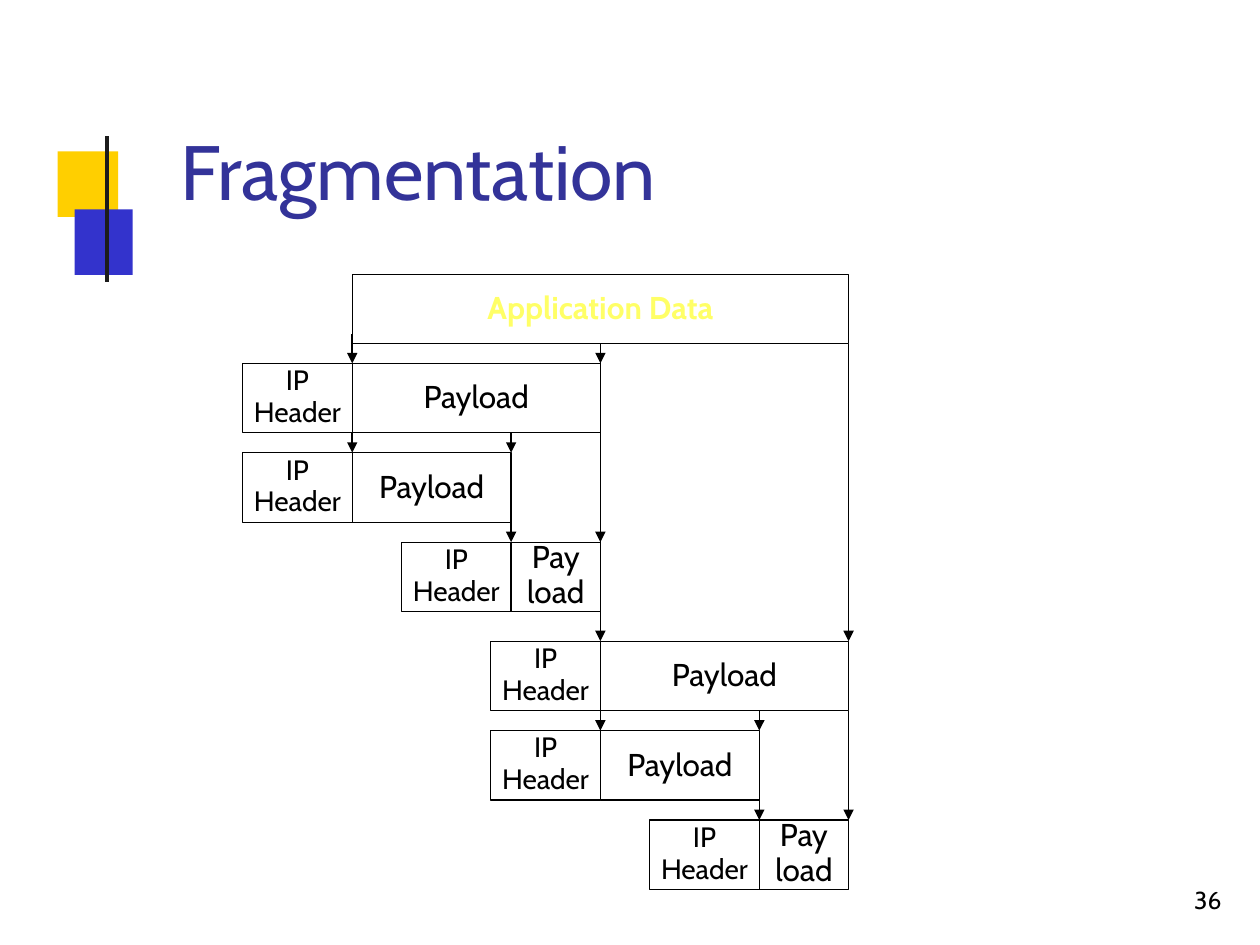
from dataclasses import dataclass
from typing import Optional

import pptx
import pptx.dml.color
import pptx.enum.shapes
import pptx.enum.text
import pptx.util
from lxml import etree

Pt = pptx.util.Pt
Align = pptx.enum.text.PP_ALIGN
Anchor = pptx.enum.text.MSO_ANCHOR

COLORS = {
    "gold": "FFCF00",
    "blue": "3333CC",
    "bar": "1C1C1C",
    "title": "333399",
    "data": "FFFF66",
    "black": "000000",
}
FONT = "Cabin"
HEADER_WIDTH = 62.6
FULL_WIDTH = 141.8
FIRST_WIDTH = 90.8
BOX_HEIGHT = 39.7
ROW_PITCH = 51.1
DATA_LEFT = 201.3
DATA_TOP = 156.7
DATA_BOTTOM = DATA_TOP + BOX_HEIGHT


@dataclass
class Label:
    lines: tuple[str, ...]
    size: float
    color: str = "black"
    bold: bool = False
    spacing: Optional[float] = None
    align: Align = Align.CENTER


@dataclass
class Box:
    left: float
    top: float
    width: float
    label: Label


@dataclass
class Arrow:
    x: float
    start: float
    end: float


@dataclass
class Group:
    left: float
    top: float


HEADER = Label(("IP", "Header"), 16, spacing=18.2)
PAYLOAD = Label(("Payload",), 18)
SPLIT_PAYLOAD = Label(("Pay", "load"), 18, spacing=20)
GROUPS = (Group(DATA_LEFT, 207.6), Group(DATA_LEFT + FULL_WIDTH, 366.4))


def color_of(name: str) -> pptx.dml.color.RGBColor:
    return pptx.dml.color.RGBColor.from_string(COLORS[name])


def write_label(frame, label: Label) -> None:
    frame.word_wrap = True
    frame.margin_left = frame.margin_right = frame.margin_top = frame.margin_bottom = 0
    for index, line in enumerate(label.lines):
        paragraph = frame.paragraphs[0] if index == 0 else frame.add_paragraph()
        paragraph.alignment = label.align
        if label.spacing:
            paragraph.line_spacing = Pt(label.spacing)
        run = paragraph.add_run()
        run.text = line
        run.font.name = FONT
        run.font.size = Pt(label.size)
        run.font.bold = label.bold
        run.font.color.rgb = color_of(label.color)


def add_rectangle(slide, left: float, top: float, width: float, height: float):
    shape = slide.shapes.add_shape(
        pptx.enum.shapes.MSO_SHAPE.RECTANGLE, Pt(left), Pt(top), Pt(width), Pt(height)
    )
    shape.shadow.inherit = False
    return shape


def add_square(slide, left: float, top: float, width: float, color: str) -> None:
    shape = add_rectangle(slide, left, top, width, 37.4)
    shape.fill.solid()
    shape.fill.fore_color.rgb = color_of(color)
    shape.line.fill.background()


def add_box(slide, box: Box):
    shape = add_rectangle(slide, box.left, box.top, box.width, BOX_HEIGHT)
    shape.fill.background()
    shape.line.color.rgb = color_of("black")
    shape.line.width = Pt(0.72)
    write_label(shape.text_frame, box.label)
    shape.text_frame.vertical_anchor = Anchor.MIDDLE
    shape.text_frame.margin_bottom = Pt(2)
    return shape


def add_text(slide, left: float, top: float, width: float, height: float, label: Label) -> None:
    shape = slide.shapes.add_textbox(Pt(left), Pt(top), Pt(width), Pt(height))
    write_label(shape.text_frame, label)


def add_line(slide, arrow: Arrow, color: str, width: float):
    connector = slide.shapes.add_connector(
        pptx.enum.shapes.MSO_CONNECTOR.STRAIGHT,
        Pt(arrow.x), Pt(arrow.start), Pt(arrow.x), Pt(arrow.end),
    )
    connector.line.color.rgb = color_of(color)
    connector.line.width = Pt(width)
    etree.SubElement(connector._element.spPr, pptx.oxml.ns.qn("a:effectLst"))
    return connector


def add_arrow(slide, arrow: Arrow):
    connector = add_line(slide, arrow, "black", 0.9)
    outline = connector.line._get_or_add_ln()
    etree.SubElement(outline, pptx.oxml.ns.qn("a:tailEnd"), type="triangle", w="med", len="med")
    return connector


def add_group(slide, group: Group) -> None:
    split = group.left + FIRST_WIDTH
    right = group.left + FULL_WIDTH
    tops = [group.top + row * ROW_PITCH for row in range(3)]
    payloads = (
        Box(group.left, tops[0], FULL_WIDTH, PAYLOAD),
        Box(group.left, tops[1], FIRST_WIDTH, PAYLOAD),
        Box(split, tops[2], FULL_WIDTH - FIRST_WIDTH, SPLIT_PAYLOAD),
    )
    for payload in payloads:
        add_box(slide, Box(payload.left - HEADER_WIDTH, payload.top, HEADER_WIDTH, HEADER))
        add_box(slide, payload)
    for x, source, target in ((group.left, 0, 1), (split, 0, 1), (split, 1, 2), (right, 0, 2)):
        add_arrow(slide, Arrow(x, tops[source] + BOX_HEIGHT, tops[target]))


def main() -> None:
    presentation = pptx.Presentation()
    presentation.slide_width = Pt(720)
    presentation.slide_height = Pt(540)
    slide = presentation.slides.add_slide(presentation.slide_layouts[6])

    add_square(slide, 33, 86.5, 34.5, "gold")
    add_square(slide, 42.6, 119.7, 33.2, "blue")
    add_line(slide, Arrow(61.2, 77.8, 161), "bar", 2.52)
    add_text(slide, 97.2, 70.6, 283.7, 52.6,
             Label(("Fragmentation",), 44, "title", spacing=52.5))

    data_label = Label(("Application Data",), 18, "data", bold=True)
    data_box = add_box(slide, Box(DATA_LEFT, DATA_TOP, 2 * FULL_WIDTH, data_label))
    for group in GROUPS:
        add_group(slide, group)

    first, second = GROUPS
    add_arrow(slide, Arrow(first.left, 190.8, first.top))
    for target in GROUPS:
        arrow = add_arrow(slide, Arrow(second.left, DATA_BOTTOM, target.top))
        arrow.begin_connect(data_box, 2)
    add_arrow(slide, Arrow(second.left + FULL_WIDTH, DATA_BOTTOM, second.top))

    add_text(slide, 664, 506.9, 34, 16.6,
             Label(("36",), 14, spacing=15.5, align=Align.RIGHT))
    presentation.save("out.pptx")


if __name__ == "__main__":
    main()
